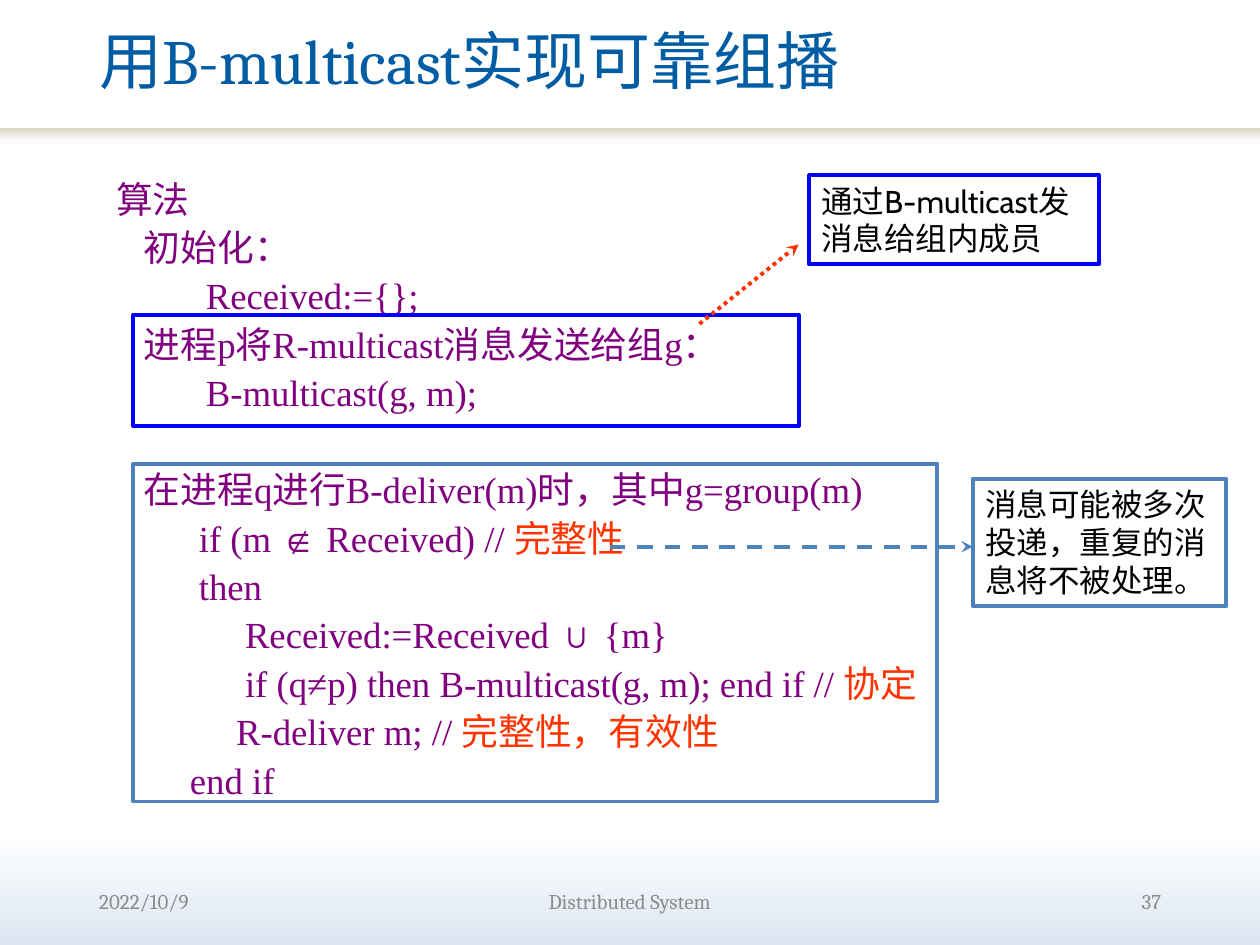
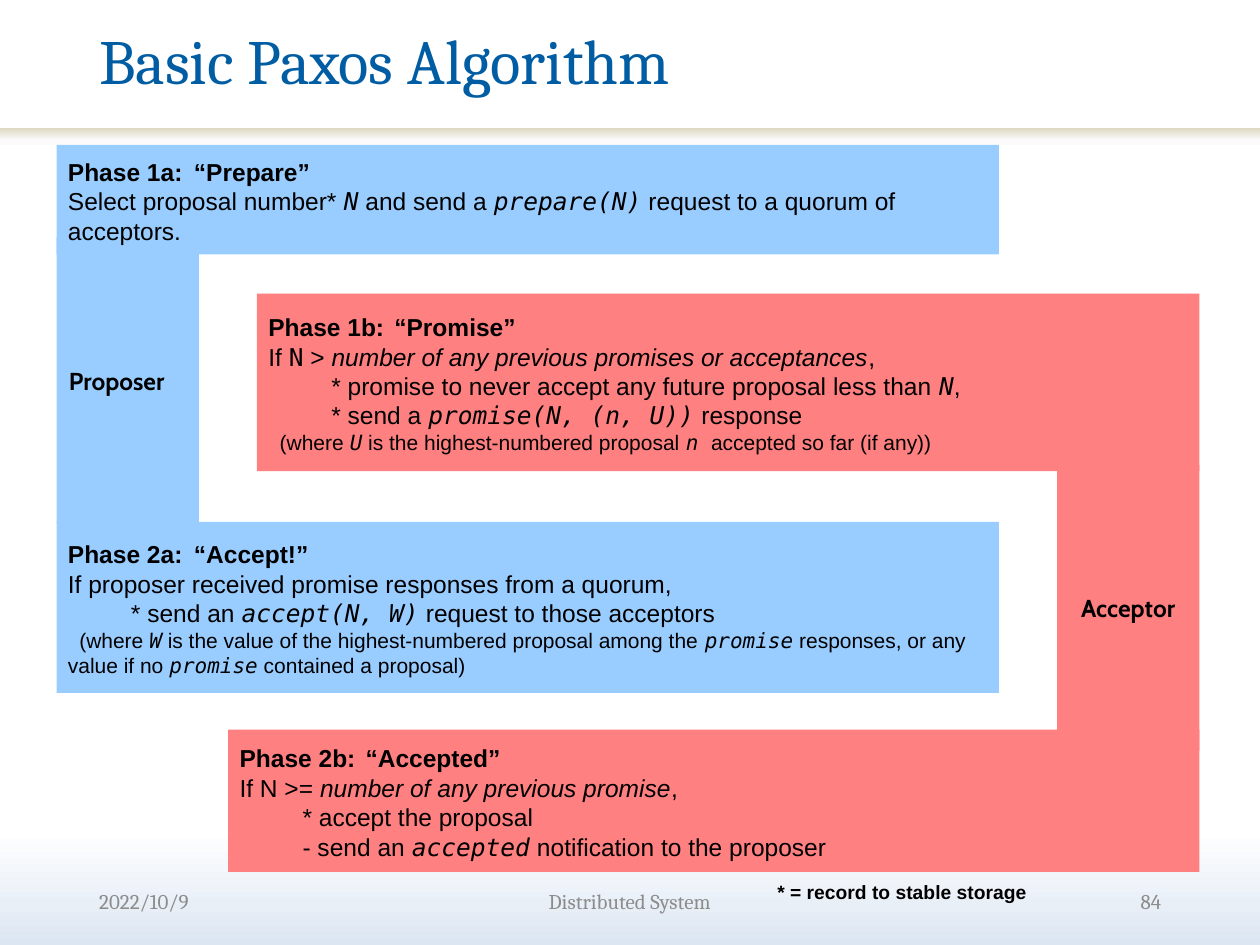
from dataclasses import dataclass
from typing import Any, NamedTuple, Optional

from lxml.etree import SubElement
from pptx import Presentation
from pptx.dml.color import RGBColor
from pptx.enum.dml import MSO_LINE
from pptx.enum.shapes import MSO_CONNECTOR, MSO_SHAPE
from pptx.enum.text import MSO_ANCHOR, PP_ALIGN
from pptx.oxml.ns import qn
from pptx.util import Cm, Pt

# Shared look
HUES = {
    "title": "005DA3", "foot": "8C8C8C", "ink": "000000", "code": "800080",
    "alert": "FF3300", "blue": "0000FF", "steel": "4F81BD",
    "sky": "99CCFF", "rose": "FF8080",
}
PAGE_FADE = [(0, "FFFFFF"), (88, "FFFFFF"), (100, "DCE6F2")]
BAND_FADE = [(0, "FFFFFF"), (45, "FBFBFB"), (100, "DDD9C3")]
SERIF, SANS, ROMAN, ARIAL = "Cambria", "Cabin", "Times New Roman", "Arial"
MONO = "DejaVu Sans Mono"
LOOKS: dict[str, dict[str, Any]] = {
    "bold": {"bold": True},
    "em": {"italic": True},
    "mono": {"font": MONO},
    "call": {"font": MONO, "italic": True},
    "alert": {"hue": "alert"},
}
TIGHT = (0.23, 0.15, 0.23, 0.1)
LOOSE = (0.25, 0.13, 0.25, 0.13)
TAB = 2.02
PITCH = 27.66


class Area(NamedTuple):
    left: float
    top: float
    width: float
    height: float


class Bit(NamedTuple):
    text: str
    look: str


@dataclass
class Para:
    bits: list[str | Bit]
    size: Optional[float] = None
    margin: float = 0
    indent: float = 0
    before: float = 0


@dataclass
class Panel:
    area: Area
    paras: list[Para]
    fill: Optional[str] = None
    line: Optional[str] = None
    style: Optional[dict[str, Any]] = None


@dataclass
class Arrow:
    start: tuple[float, float]
    end: tuple[float, float]
    hue: str
    dash: MSO_LINE


def tone(key: str) -> RGBColor:
    return RGBColor.from_string(HUES[key])


def fade(root: Any, stops: list[tuple[int, str]], angle: int) -> None:
    """Swap the first solid fill under root for a linear gradient."""
    solid = next(root.iter(qn("a:solidFill")))
    grad = solid.makeelement(qn("a:gradFill"), {"rotWithShape": "1"})
    group = SubElement(grad, qn("a:gsLst"))
    for place, value in stops:
        stop = SubElement(group, qn("a:gs"), pos=str(place * 1000))
        SubElement(stop, qn("a:srgbClr"), val=value)
    SubElement(grad, qn("a:lin"), ang=str(angle * 60000), scaled="0")
    solid.getparent().replace(solid, grad)


def write(shape: Any, text: str | list[Para], *, font: str = ARIAL, size: float = 14,
          hue: str = "ink", bold: bool = False, align: PP_ALIGN = PP_ALIGN.LEFT,
          anchor: MSO_ANCHOR = MSO_ANCHOR.MIDDLE, wrap: bool = True,
          inset: tuple[float, ...] = LOOSE, lead: Any = None, tabs: int = 0) -> None:
    frame = shape.text_frame
    frame.word_wrap, frame.vertical_anchor = wrap, anchor
    (frame.margin_left, frame.margin_top,
     frame.margin_right, frame.margin_bottom) = map(Cm, inset)
    paras = [Para([text])] if isinstance(text, str) else text
    for index, para in enumerate(paras):
        row = frame.add_paragraph() if index else frame.paragraphs[0]
        row.alignment = align
        row.space_before = Pt(para.before)
        if lead:
            row.line_spacing = lead
        props = row._p.get_or_add_pPr()
        props.set("marL", str(Cm(para.margin)))
        props.set("indent", str(Cm(para.indent)))
        if tabs:
            stops = SubElement(props, qn("a:tabLst"))
            for step in range(1, tabs + 1):
                SubElement(stops, qn("a:tab"), pos=str(Cm(TAB * step)), algn="l")
        for bit in para.bits:
            words, look = (bit, {}) if isinstance(bit, str) else (bit.text, LOOKS[bit.look])
            run = row.add_run()
            run.text = words
            run.font.name = look.get("font", font)
            run.font.size = Pt(para.size or size)
            run.font.bold = look.get("bold", bold)
            run.font.italic = look.get("italic", False)
            run.font.color.rgb = tone(look.get("hue", hue))


def label(slide: Any, area: Area, text: str | list[Para], **style: Any) -> None:
    write(slide.shapes.add_textbox(*map(Cm, area)), text, **style)


def block(slide: Any, area: Area, fill: Optional[str] = None,
          line: Optional[str] = None) -> Any:
    shape = slide.shapes.add_shape(MSO_SHAPE.RECTANGLE, *map(Cm, area))
    shape.shadow.inherit = False
    if fill:
        shape.fill.solid()
        shape.fill.fore_color.rgb = tone(fill)
    else:
        shape.fill.background()
    if line:
        shape.line.color.rgb = tone(line)
        shape.line.width = Pt(2.25)
    else:
        shape.line.fill.background()
    return shape


def place(slide: Any, panel: Panel) -> None:
    shape = block(slide, panel.area, panel.fill, panel.line)
    if panel.paras:
        write(shape, panel.paras, **(panel.style or {}))


def point(slide: Any, arrow: Arrow) -> None:
    link = slide.shapes.add_connector(
        MSO_CONNECTOR.STRAIGHT, *map(Cm, arrow.start + arrow.end))
    link.line.color.rgb = tone(arrow.hue)
    link.line.width = Pt(2.25)
    link.line.dash_style = arrow.dash
    SubElement(link.line._get_or_add_ln(), qn("a:tailEnd"), type="stealth")
    SubElement(link._element.spPr, qn("a:effectLst"))


def start(deck: Any, title: str, number: int) -> Any:
    """Add a slide with its background, band, title and footers."""
    slide = deck.slides.add_slide(deck.slide_layouts[6])
    slide.background.fill.solid()
    fade(slide._element, PAGE_FADE, 90)
    band = block(slide, Area(0, 2.59, 25.4, 0.43), "sky")
    fade(band._element, BAND_FADE, 270)
    label(slide, Area(1.75, 0, 21.08, 2.57), title,
          font=SERIF, size=36, hue="title", lead=0.9)
    foots = [
        (1.75, 5.28, "2022/10/9", PP_ALIGN.LEFT),
        (7.02, 11.35, "Distributed System", PP_ALIGN.CENTER),
        (18.38, 5.28, str(number), PP_ALIGN.RIGHT),
    ]
    for left, width, text, align in foots:
        label(slide, Area(left, 17.65, width, 1.02), text,
              font=SERIF, size=12, hue="foot", align=align)
    return slide


# Slide: reliable multicast
CODE = [
    Para(["算法"], margin=2.34),
    Para(["初始化："], margin=2.9),
    Para(["Received:={};"], margin=4.15),
    Para(["进程p将R-multicast消息发送给组g："], margin=2.9),
    Para(["B-multicast(g, m);"], margin=4.15),
    Para(["在进程q进行B-deliver(m)时，其中g=group(m)"], margin=2.9, before=PITCH),
    Para(["if (m ∉ Received) // ", Bit("完整性", "alert")], margin=4.01),
    Para(["then"], margin=4.01),
    Para(["Received:=Received ∪ {m}"], margin=4.94),
    Para(["if (q≠p) then B-multicast(g, m); end if // ", Bit("协定", "alert")], margin=4.94),
    Para(["R-deliver m; // ", Bit("完整性，有效性", "alert")], margin=4.76),
    Para(["end if"], margin=3.83),
]
NOTE = {"font": SANS, "size": 18, "anchor": MSO_ANCHOR.TOP}
FRAMES = [
    Panel(Area(2.69, 6.35, 13.41, 2.24), [], line="blue"),
    Panel(Area(2.69, 9.35, 16.21, 6.81), [], line="steel"),
    Panel(Area(16.31, 3.53, 5.84, 1.8),
          [Para(["通过B-multicast发消息给组内成员"])], line="blue", style=NOTE),
    Panel(Area(19.61, 9.65, 5.11, 2.57),
          [Para(["消息可能被多次投递，重复的消息将不被处理。"])], line="steel", style=NOTE),
]
ARROWS = [
    Arrow((14.1, 6.53), (16.1, 4.93), "alert", MSO_LINE.ROUND_DOT),
    Arrow((12.29, 11.02), (19.61, 11.02), "steel", MSO_LINE.DASH),
]


def cast(deck: Any) -> None:
    slide = start(deck, "用B-multicast实现可靠组播", 37)
    label(slide, Area(0, 3.47, 23.4, 13.2), CODE, font=ROMAN, size=21, hue="code",
          anchor=MSO_ANCHOR.TOP, inset=(0, 0, 0, 0), lead=Pt(PITCH))
    for panel in FRAMES:
        place(slide, panel)
    for arrow in ARROWS:
        point(slide, arrow)


# Slide: Paxos phases
def head(phase: str, name: str) -> Para:
    return Para([Bit(f"Phase {phase}:\t“{name}”", "bold")])


def aside(*bits: str | Bit) -> Para:
    return Para(list(bits), size=12, indent=0.23)


STEP = {"inset": TIGHT, "tabs": 2}
ROLE = {"font": SANS, "bold": True, "wrap": False}
PHASES = [
    Panel(Area(1.14, 4.78, 2.87, 5.77), [Para(["Proposer"])], "sky", style=ROLE),
    Panel(Area(1.14, 2.92, 19, 2.21), [
        head("1a", "Prepare"),
        Para(["Select proposal number* ", Bit("N", "call"), " and send a ",
              Bit("prepare(N)", "call"), " request to a quorum of acceptors."]),
    ], "sky", style=STEP),
    Panel(Area(5.18, 5.92, 19, 3.58), [
        head("1b", "Promise"),
        Para(["If ", Bit("N", "mono"), " > ",
              Bit("number of any previous promises or acceptances", "em"), ","]),
        Para(["\t* promise to never accept any future proposal less than ",
              Bit("N", "call"), ","]),
        Para(["\t* send a ", Bit("promise(N, (n, U))", "call"), " response"]),
        aside("(where ", Bit("U", "call"), " is the highest-numbered proposal ",
              Bit("n ", "call"), "accepted so far (if any))"),
    ], "rose", style=STEP),
    Panel(Area(1.14, 10.52, 19, 3.45), [
        head("2a", "Accept!"),
        Para(["If proposer received promise responses from a quorum,"]),
        Para(["\t* send an ", Bit("accept(N, W)", "call"), " request to those acceptors"]),
        aside("(where ", Bit("W", "call"),
              " is the value of the highest-numbered proposal among the ",
              Bit("promise", "call"), " responses, or any value if no ",
              Bit("promise", "call"), " contained a proposal)"),
    ], "sky", style=STEP),
    Panel(Area(21.31, 9.37, 2.87, 5.77), [Para(["Acceptor"])], "rose",
          style={**ROLE, "align": PP_ALIGN.CENTER}),
    Panel(Area(4.6, 14.71, 19.58, 2.87), [
        head("2b", "Accepted"),
        Para(["If N >= ", Bit("number of any previous promise", "em"), ","]),
        Para(["\t* accept the proposal"]),
        Para(["\t- send an ", Bit("accepted", "call"), " notification to the proposer"]),
    ], "rose", style=STEP),
]


def paxos(deck: Any) -> None:
    slide = start(deck, "Basic Paxos Algorithm", 84)
    for panel in PHASES:
        place(slide, panel)
    label(slide, Area(15.44, 17.58, 5.87, 0.74), "* = record to stable storage",
          size=11, bold=True, wrap=False, inset=TIGHT)


def main() -> None:
    deck = Presentation()
    deck.slide_width, deck.slide_height = Cm(25.4), Cm(19.05)
    cast(deck)
    paxos(deck)
    deck.save("out.pptx")


if __name__ == "__main__":
    main()
